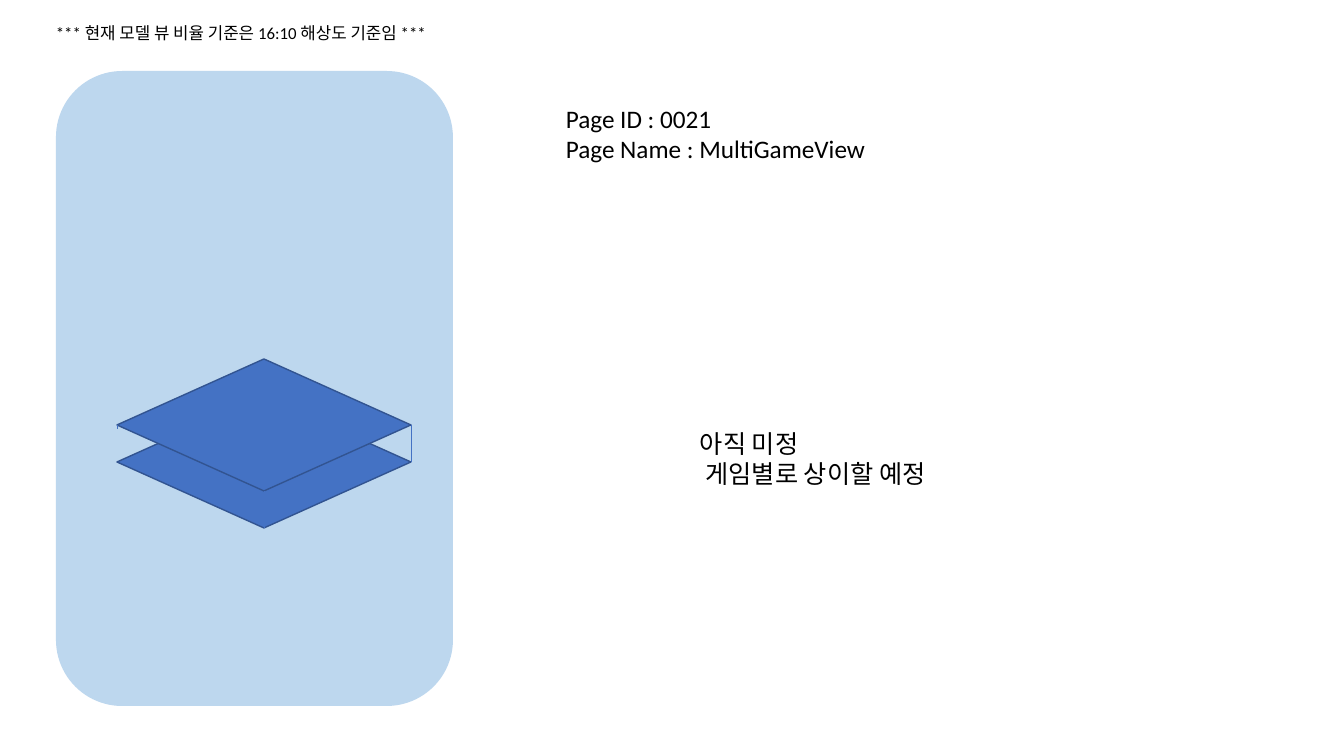
import dataclasses

import lxml.etree
import pptx
import pptx.dml.color
import pptx.enum.shapes
import pptx.enum.text
import pptx.oxml.ns
import pptx.util

PIXELS_PER_INCH = 100.8


@dataclasses.dataclass(frozen=True)
class Theme:
    font: str = "Calibri"
    text: str = "000000"
    screen: str = "BDD7EE"
    layer: str = "4472C4"
    layer_edge: str = "325491"
    note_size: int = 12
    body_size: int = 18
    layer_edge_width: float = 1
    edge_width: float = 0.5


THEME = Theme()


def px(length):
    return pptx.util.Inches(length / PIXELS_PER_INCH)


def color(value):
    return pptx.dml.color.RGBColor.from_string(value)


def add_panel(slide, kind, left, top, width, height, fill, edge=None):
    shape = slide.shapes.add_shape(kind, px(left), px(top), px(width), px(height))
    shape.shadow.inherit = False
    shape.fill.solid()
    shape.fill.fore_color.rgb = color(fill)
    if edge is None:
        shape.line.fill.background()
    else:
        shape.line.color.rgb = color(edge)
        shape.line.width = pptx.util.Pt(THEME.layer_edge_width)


def add_vertical_edge(slide, x, top, bottom):
    connector = slide.shapes.add_connector(
        pptx.enum.shapes.MSO_CONNECTOR.STRAIGHT, px(x), px(top), px(x), px(bottom)
    )
    connector.line.color.rgb = color(THEME.layer)
    connector.line.width = pptx.util.Pt(THEME.edge_width)
    properties = connector._element.spPr
    lxml.etree.SubElement(properties, pptx.oxml.ns.qn("a:effectLst"))


def add_text(slide, left, top, width, height, text, size):
    shape = slide.shapes.add_textbox(px(left), px(top), px(width), px(height))
    text_frame = shape.text_frame
    text_frame.word_wrap = False
    text_frame.auto_size = pptx.enum.text.MSO_AUTO_SIZE.SHAPE_TO_FIT_TEXT
    text_frame.text = text
    for paragraph in text_frame.paragraphs:
        for run in paragraph.runs:
            run.font.name = THEME.font
            run.font.size = pptx.util.Pt(size)
            run.font.color.rgb = color(THEME.text)


def add_layer_stack(slide, left, top, width, height, offset):
    diamond = pptx.enum.shapes.MSO_SHAPE.DIAMOND
    for layer_top in (top + offset, top):
        add_panel(slide, diamond, left, layer_top, width, height, THEME.layer, THEME.layer_edge)
    middle = top + height // 2
    bottom = top + height
    add_vertical_edge(slide, left + width // 2, bottom, bottom + offset)
    add_vertical_edge(slide, left + width, middle, middle + offset)
    add_vertical_edge(slide, left, middle, middle + 4)


def main():
    presentation = pptx.Presentation()
    presentation.slide_width = px(1344)
    presentation.slide_height = px(756)
    slide = presentation.slides.add_slide(presentation.slide_layouts[6])

    rounded = pptx.enum.shapes.MSO_SHAPE.ROUNDED_RECTANGLE
    add_panel(slide, rounded, 56, 71, 397, 635, THEME.screen)
    add_text(slide, 46, 18, 417, 30,
             "*** 현재 모델 뷰 비율 기준은 16:10 해상도 기준임 ***", THEME.note_size)
    add_text(slide, 556, 98, 324, 72,
             "Page ID : 0021\nPage Name : MultiGameView", THEME.body_size)
    add_layer_stack(slide, 117, 359, 294, 132, 37)
    add_text(slide, 690, 423, 267, 72,
             "아직 미정\n 게임별로 상이할 예정", THEME.body_size)

    presentation.save("out.pptx")


if __name__ == "__main__":
    main()
